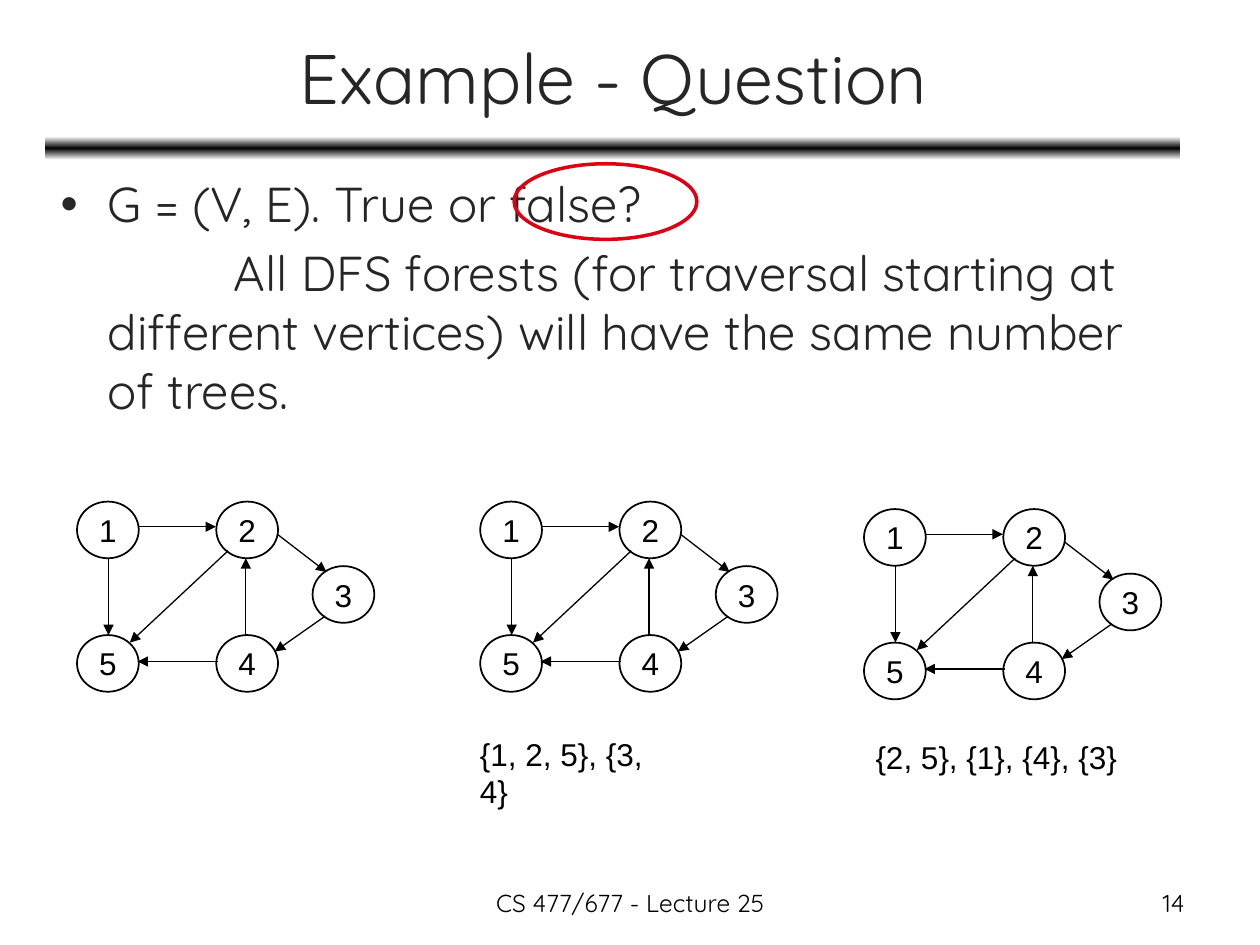
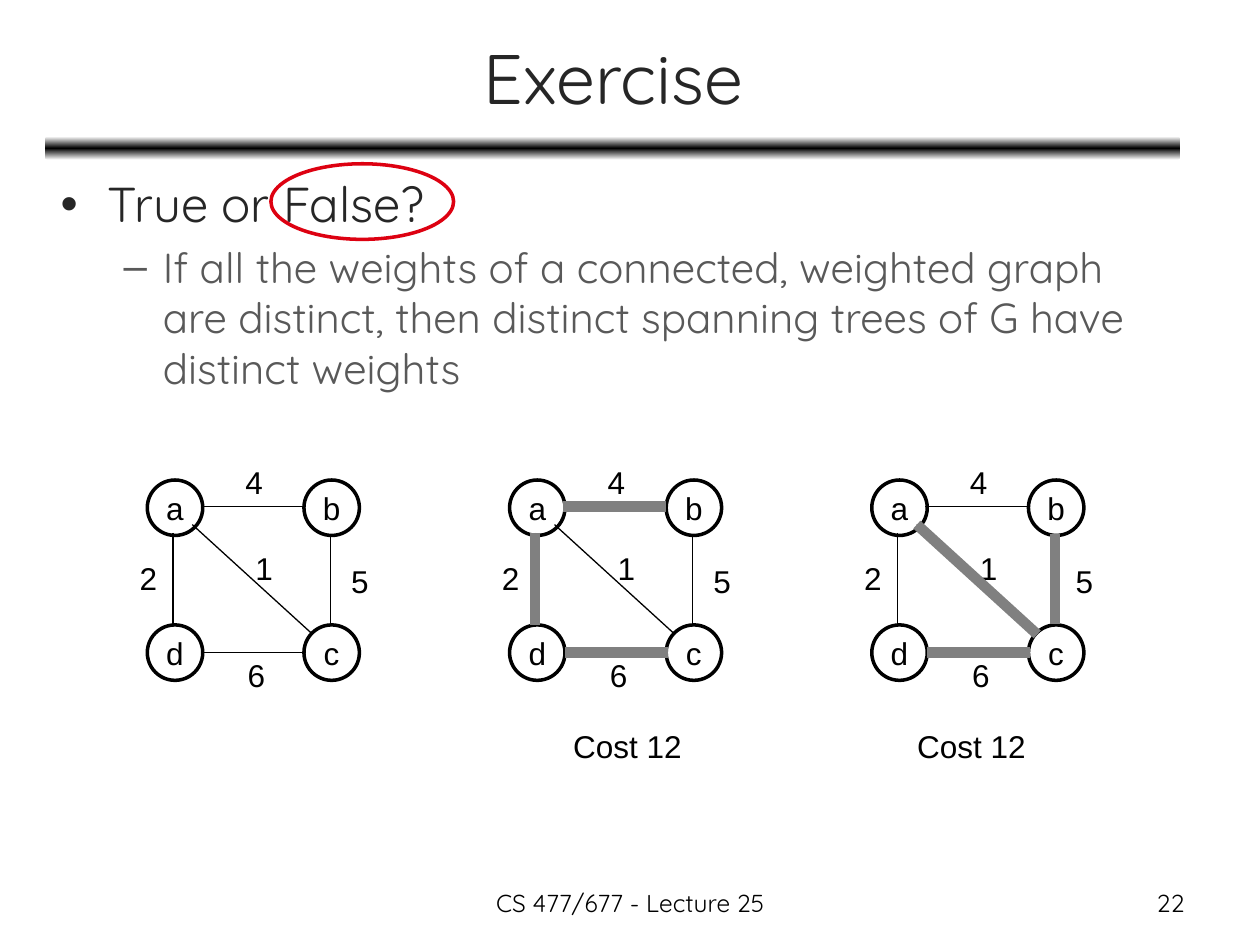
from copy import deepcopy
from dataclasses import dataclass
from lxml import etree
from pptx import Presentation
from pptx.dml.color import RGBColor
from pptx.enum.shapes import MSO_CONNECTOR, MSO_SHAPE
from pptx.enum.text import MSO_ANCHOR, MSO_AUTO_SIZE, PP_ALIGN
from pptx.oxml.ns import qn
from pptx.util import Pt


@dataclass(frozen=True)
class Theme:
    heading_font: str = "Quicksand"
    graph_font: str = "Arial"
    title_size: int = 40
    body_size: int = 28
    sub_size: int = 24
    graph_size: int = 18
    footer_size: int = 14
    dark: str = "262626"
    gray: str = "595959"
    black: str = "000000"
    white: str = "FFFFFF"
    red: str = "DD0111"
    tree: str = "808080"


T = Theme()

# ---- Content: graphs (coordinates are relative to each graph's origin) ----
DIRECTED = dict(
    node_size=(35.3, 32.4), node_line=1, arrow=True,
    nodes={"1": (0, 0), "2": (79.6, 0), "5": (0, 76.3), "4": (79.6, 76.3),
           "3": (134.6, 36.9)},
    edges={"12": (35.3, 14.4, 79.4, 14.4), "42": (96.5, 76.3, 96.5, 32.4),
           "15": (18, 32.2, 18, 76.3), "25": (86.4, 28.1, 30.2, 80.6),
           "45": (80.6, 91.4, 34.6, 91.4), "23": (114.5, 18.7, 142.6, 40.3),
           "34": (141.8, 65.5, 113, 85.7)},
    labels={})
WEIGHTED = dict(
    node_size=(31.7, 31.7), node_line=2, arrow=False,
    nodes={"a": (0, 0), "b": (89.5, 0), "c": (89.5, 82.8), "d": (0, 82.8)},
    edges={"ab": (30.6, 15.1, 89.5, 15.1), "dc": (31.5, 98.6, 90.5, 98.6),
           "ad": (14.6, 30.2, 14.6, 82.8), "bc": (104.7, 31, 104.7, 82.2),
           "ac": (25.7, 25.5, 94.5, 88.2)},
    labels={"4": (49, -13), "5": (109.4, 43.2), "6": (50.3, 97.2),
            "2": (-11.5, 41.8), "1": (54.7, 36)})

# ---- Content: slides ----
FOOTER = "CS 477/677 - Lecture 25"
SLIDES = [
    dict(title="Example - Question", number="14", body_height=399.6,
         lead="G = (V, E). True or false?",
         detail="All DFS forests (for traversal starting at different vertices) "
                "will have the same number of trees.",
         detail_is_bullet=False, answer_left=293.8, graph=DIRECTED,
         copies=[(274.4, 286.6, ()), (493.7, 290.9, ()), (44, 286.6, ())],
         captions=[("{1, 2, 5}, {3, 4}", 267.1, 416.2, 128.2),
                   ("{2, 5}, {1}, {4}, {3}", 493.2, 418.3, 152.6)]),
    dict(title="Exercise", number="22", body_height=157.7,
         lead="True or False?",
         detail="If all the weights of a connected, weighted graph are distinct, "
                "then distinct spanning trees of G have distinct weights",
         detail_is_bullet=True, answer_left=154.8, graph=WEIGHTED,
         copies=[(84.2 + 207 * i, 274.3, tree) for i, tree in
                 enumerate([(), ("ab", "dc", "ad"), ("dc", "bc", "ac")])],
         captions=[("Cost 12", 320.4, 411.8, 76.3),
                   ("Cost 12", 517, 411.8, 76.3)]),
]


# ---- Helpers ----
def rgb(color):
    return RGBColor.from_string(color)


def box(x, y, w, h):
    return Pt(x), Pt(y), Pt(w), Pt(h)


def place(shape, x, y, w, h):
    shape.left, shape.top, shape.width, shape.height = box(x, y, w, h)


def write(p, text, *, size, font=T.heading_font, color=T.dark, align=None):
    r = p.add_run()
    r.text = text
    r.font.size, r.font.name = Pt(size), font
    r.font.color.rgb = rgb(color)
    if align is not None:
        p.alignment = align


def add_text(parent, text, x, y, w, h, *, wrap=False, **fmt):
    tf = parent.add_textbox(*box(x, y, w, h)).text_frame
    tf.word_wrap = wrap
    tf.auto_size = MSO_AUTO_SIZE.NONE if wrap else MSO_AUTO_SIZE.SHAPE_TO_FIT_TEXT
    write(tf.paragraphs[0], text, **fmt)


def add_graph_text(parent, text, x, y, w):
    add_text(parent, text, x, y, w, 28.8, size=T.graph_size,
             font=T.graph_font, color=T.black)


def add_ellipse(parent, x, y, w, h, color, width):
    sp = parent.add_shape(MSO_SHAPE.OVAL, *box(x, y, w, h))
    sp.shadow.inherit = False
    sp.fill.background()
    sp.line.color.rgb, sp.line.width = rgb(color), Pt(width)
    return sp


def add_line(parent, points, color, width, arrow=False):
    cx = parent.add_connector(MSO_CONNECTOR.STRAIGHT, *map(Pt, points))
    cx.line.color.rgb, cx.line.width = rgb(color), Pt(width)
    if arrow:
        etree.SubElement(cx.line._get_or_add_ln(), qn("a:tailEnd"), type="triangle")
    etree.SubElement(cx.element.spPr, qn("a:effectLst"))


def add_graph(s, graph, x, y, tree):
    group = s.shapes.add_group_shape().shapes
    for name, (dx, dy) in graph["nodes"].items():
        sp = add_ellipse(group, x + dx, y + dy, *graph["node_size"],
                         T.black, graph["node_line"])
        tf = sp.text_frame
        tf.word_wrap, tf.vertical_anchor = False, MSO_ANCHOR.MIDDLE
        write(tf.paragraphs[0], name, size=T.graph_size, font=T.graph_font,
              color=T.black, align=PP_ALIGN.CENTER)
    edges = {name: (x + x1, y + y1, x + x2, y + y2)
             for name, (x1, y1, x2, y2) in graph["edges"].items()}
    for points in edges.values():
        add_line(group, points, T.black, 0.75, graph["arrow"])
    for weight, (dx, dy) in graph["labels"].items():
        add_graph_text(group, weight, x + dx, y + dy, 24.5)
    for name in tree:
        add_line(group, edges[name], T.tree, 6)


def move_bar_to_master(prs, s):
    """Draw the gradient rule once and let every slide inherit it."""
    bar = s.shapes.add_shape(MSO_SHAPE.ROUNDED_RECTANGLE, *box(25.7, 78, 648.7, 13.4))
    bar.shadow.inherit = False
    bar.line.fill.background()
    bar.fill.gradient()
    bar.fill.gradient_angle = 90
    first = bar.element.find(".//" + qn("a:gs"))
    first.addnext(deepcopy(first))
    stops = zip(bar.fill.gradient_stops, (0, 0.5, 1), (T.white, T.black, T.white))
    for stop, position, color in stops:
        stop.position, stop.color.rgb = position, rgb(color)
    prs.slide_master.element.cSld.spTree.insert(2, bar.element)


# ---- Build ----
prs = Presentation()
prs.slide_width, prs.slide_height = Pt(720), Pt(540)

for data in SLIDES:
    s = prs.slides.add_slide(prs.slide_layouts[1])
    if len(prs.slides) == 1:
        move_bar_to_master(prs, s)

    # Title
    title = s.shapes.title
    place(title, 26.6, 7.9, 648, 71.3)
    title.text_frame.vertical_anchor = MSO_ANCHOR.MIDDLE
    write(title.text_frame.paragraphs[0], data["title"], size=T.title_size,
          align=PP_ALIGN.CENTER)

    # Body
    body = s.placeholders[1]
    place(body, 27.4, 95.8, 648, data["body_height"])
    tf = body.text_frame
    tf.auto_size = MSO_AUTO_SIZE.NONE
    write(tf.paragraphs[0], data["lead"], size=T.body_size)
    p = tf.add_paragraph()
    if data["detail_is_bullet"]:
        p.level = 1
        write(p, data["detail"], size=T.sub_size, color=T.gray)
    else:
        pPr = p._p.get_or_add_pPr()
        pPr.set("marL", str(Pt(27)))
        pPr.set("indent", str(Pt(72)))
        etree.SubElement(pPr, qn("a:buNone"))
        write(p, data["detail"], size=T.body_size)

    # Graphs, captions and the circled answer
    for x, y, tree in data["copies"]:
        add_graph(s, data["graph"], x, y, tree)
    for text, x, y, w in data["captions"]:
        add_graph_text(s.shapes, text, x, y, w)
    add_ellipse(s.shapes, data["answer_left"], 93.6, 104.4, 43.2, T.red, 2)

    # Footer and slide number
    for text, x, w, align in [(FOOTER, 246.2, 228.2, PP_ALIGN.CENTER),
                              (data["number"], 516.2, 167.8, PP_ALIGN.RIGHT)]:
        add_text(s.shapes, text, x, 504, w, 25.2, wrap=True,
                 size=T.footer_size, color=T.black, align=align)

prs.save("out.pptx")
